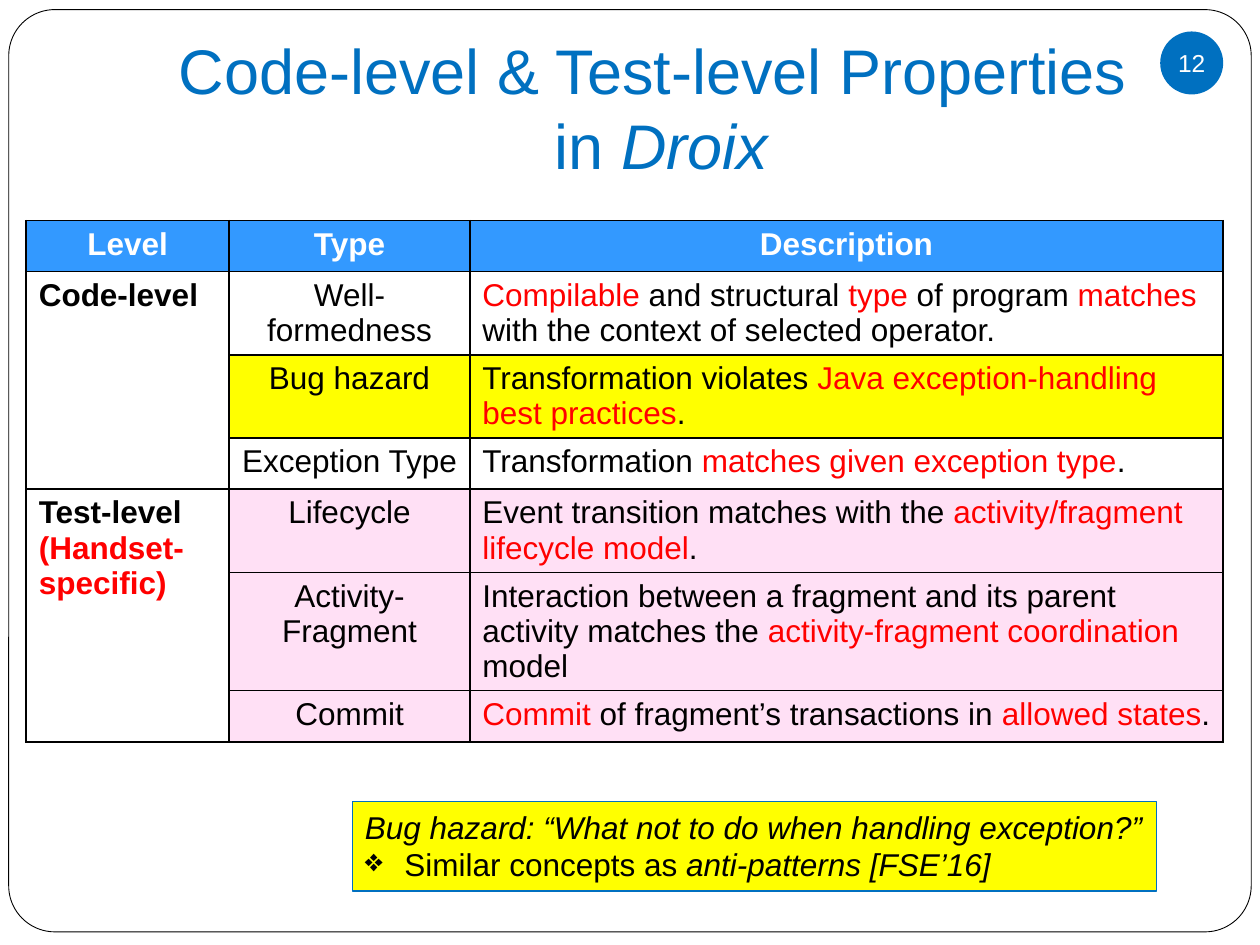
"""Build the slide on code-level and test-level properties."""
from lxml import etree
from pptx import Presentation
from pptx.dml.color import RGBColor
from pptx.enum.shapes import MSO_SHAPE
from pptx.enum.text import MSO_ANCHOR, MSO_AUTO_SIZE, PP_ALIGN
from pptx.oxml.ns import qn
from pptx.util import Pt

CENTER, LEFT = PP_ALIGN.CENTER, PP_ALIGN.LEFT
TOP, MIDDLE, BOTTOM = MSO_ANCHOR.TOP, MSO_ANCHOR.MIDDLE, MSO_ANCHOR.BOTTOM
ROUNDED, OVAL, RECT = MSO_SHAPE.ROUNDED_RECTANGLE, MSO_SHAPE.OVAL, MSO_SHAPE.RECTANGLE
NO_FIT = MSO_AUTO_SIZE.NONE

THEME = {
    "font": "Arial", "title": 36, "body": 18, "number": 14,
    "blue": "0070C0", "header": "3399FF", "red": "FF0000", "black": "000000",
    "white": "FFFFFF", "yellow": "FFFF00", "pink": "FFE0F5",
}

TITLE = [("Code-level & Test-level Properties \vin ", False), ("Droix", True)]
NUMBER = "12"
HEADERS = ["Level", "Type", "Description"]
GROUPS = [
    ("Code-level", [
        ("Well-formedness", "|Compilable| and structural |type| of program |matches| "
         "with the context of selected operator.", "white"),
        ("Bug hazard", "Transformation violates |Java exception-handling best practices|.",
         "yellow"),
        ("Exception Type", "Transformation |matches given exception type|.", "white"),
    ]),
    ("Test-level |(Handset-specific)|", [
        ("Lifecycle", "Event transition matches with the "
         "|activity/fragment lifecycle model|.", "pink"),
        ("Activity-Fragment", "Interaction between a fragment and its parent activity "
         "matches the |activity-fragment coordination |model", "pink"),
        ("Commit", "|Commit| of fragment’s transactions in |allowed states|.", "pink"),
    ]),
]
NOTE = [("Bug hazard: “What not to do when handling exception?”", True)]
NOTE_BULLET = [("Similar concepts as ", False), ("anti-patterns [FSE’16]", True)]

COLUMNS = [116, 137.5, 430.5]
ROW_HEIGHT = 29.2


def color(name):
    return RGBColor.from_string(THEME[name])


def add_run(p, text, size, ink, **extra):
    r = p.add_run() if "\v" not in text else None
    if r is None:
        first, text = text.split("\v")
        add_run(p, first, size, ink, **extra)
        p.add_line_break()
        r = p.add_run()
    r.text = text
    formats = {"name": THEME["font"], "size": Pt(THEME[size]), **extra}
    for key, value in formats.items():
        setattr(r.font, key, value)
    r.font.color.rgb = color(ink)


def add_styled(p, pieces, size, ink):
    for text, italic in pieces:
        add_run(p, text, size, ink, italic=italic)


def add_box(s, kind, box, fill, line=None, width=1):
    sp = s.shapes.add_shape(kind, *map(Pt, box))
    sp.shadow.inherit = False
    sp.fill.solid()
    sp.fill.fore_color.rgb = color(fill)
    if line:
        sp.line.color.rgb = color(line)
        sp.line.width = Pt(width)
    else:
        sp.line.fill.background()
    return sp


def set_frame(tf, **formats):
    for key, value in formats.items():
        setattr(tf, key, value)


def fill_cell(cell, text, fill, ink="black", bold=False, align=LEFT):
    tc_pr = cell._tc.get_or_add_tcPr()
    for side in ("a:lnL", "a:lnR", "a:lnT", "a:lnB"):
        ln = etree.SubElement(tc_pr, qn(side), w=str(Pt(1)))
        solid = etree.SubElement(ln, qn("a:solidFill"))
        etree.SubElement(solid, qn("a:srgbClr"), val=THEME["black"])
    cell.fill.solid()
    cell.fill.fore_color.rgb = color(fill)
    p = cell.text_frame.paragraphs[0]
    p.alignment = align
    for i, part in enumerate(text.split("|")):
        if part:
            add_run(p, part, "body", "red" if i % 2 else ink, bold=bold)


def add_properties(s):
    count = 1 + sum(len(rows) for _, rows in GROUPS)
    frame = s.shapes.add_table(count, len(COLUMNS), Pt(15), Pt(126),
                               Pt(sum(COLUMNS)), Pt(ROW_HEIGHT * count))
    table = frame.table
    table.first_row = table.horz_banding = False
    for column, width in zip(table.columns, COLUMNS):
        column.width = Pt(width)
    for row in table.rows:
        row.height = Pt(ROW_HEIGHT)
    for c, text in enumerate(HEADERS):
        fill_cell(table.cell(0, c), text, "header", "white", True, CENTER)
    top = 1
    for level, rows in GROUPS:
        for i, (kind, description, fill) in enumerate(rows):
            fill_cell(table.cell(top + i, 0), "" if i else level, "white", bold=True)
            fill_cell(table.cell(top + i, 1), kind, fill, align=CENTER)
            fill_cell(table.cell(top + i, 2), description, fill)
        table.cell(top, 0).merge(table.cell(top + len(rows) - 1, 0))
        top += len(rows)


def add_note(s):
    sp = add_box(s, RECT, (201.5, 458, 459.5, 51), "yellow", "blue")
    tf = sp.text_frame
    set_frame(tf, word_wrap=True, vertical_anchor=TOP)
    p = tf.paragraphs[0]
    p.alignment = LEFT
    add_styled(p, NOTE, "body", "black")
    p = tf.add_paragraph()
    p.alignment = LEFT
    p_pr = p._p.get_or_add_pPr()
    p_pr.set("marL", str(Pt(22.5)))
    p_pr.set("indent", str(Pt(-22.5)))
    etree.SubElement(p_pr, qn("a:buChar"), char="❖")
    add_styled(p, NOTE_BULLET, "body", "black")


def main():
    prs = Presentation()
    prs.slide_width, prs.slide_height = Pt(720), Pt(540)
    s = prs.slides.add_slide(prs.slide_layouts[5])

    border = add_box(s, ROUNDED, (5, 5.5, 710, 527), "white", "black", 0.5)
    border.adjustments[0] = 0.05
    title = s.shapes.title
    s.shapes._spTree.append(title._element)
    title.left, title.top, title.width, title.height = map(Pt, (72, 21.5, 612, 90))
    set_frame(title.text_frame, auto_size=NO_FIT, word_wrap=True, vertical_anchor=BOTTOM,
              margin_bottom=Pt(7.2))
    p = title.text_frame.paragraphs[0]
    p.alignment = CENTER
    add_styled(p, TITLE, "title", "blue")

    badge = add_box(s, OVAL, (663, 18, 36, 36), "blue")
    set_frame(badge.text_frame, word_wrap=False, vertical_anchor=MIDDLE, margin_left=0,
              margin_right=0, margin_top=0, margin_bottom=0)
    p = badge.text_frame.paragraphs[0]
    p.alignment = CENTER
    add_run(p, NUMBER, "number", "white")

    add_properties(s)
    add_note(s)
    prs.save("out.pptx")


if __name__ == "__main__":
    main()
